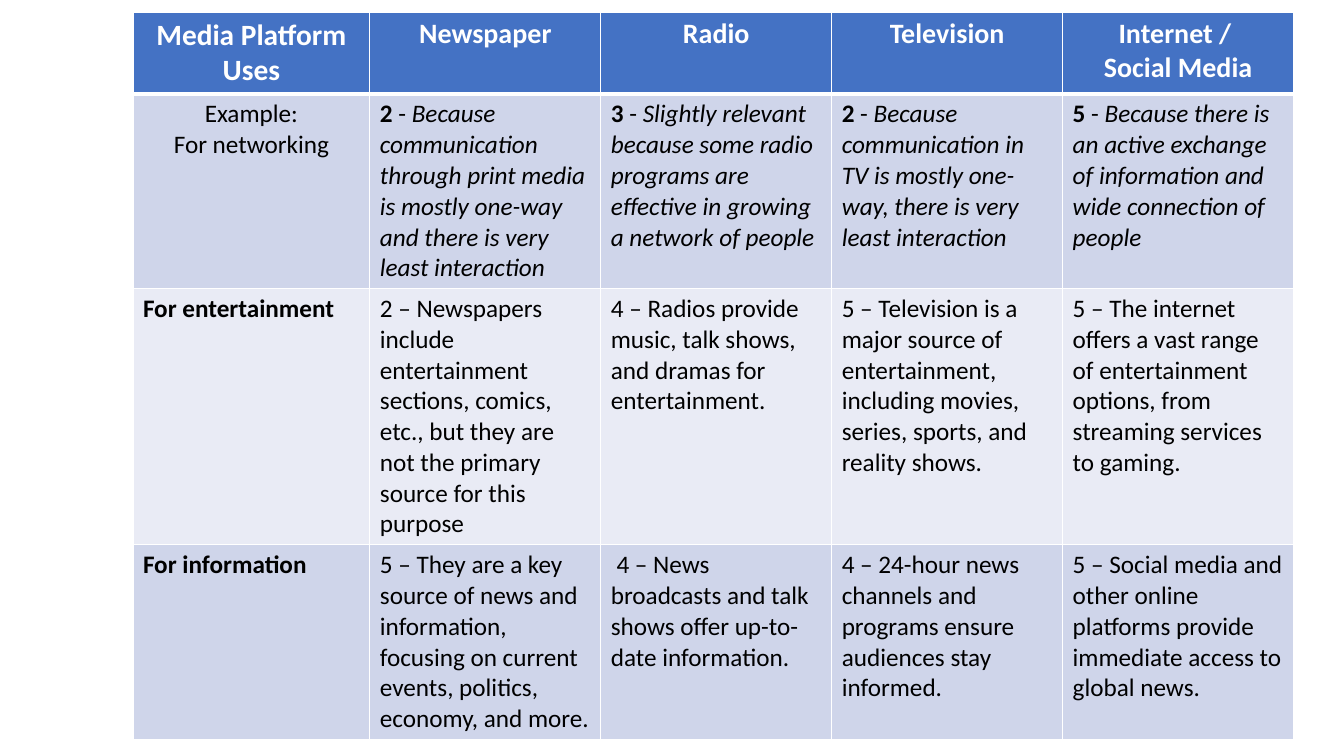
from dataclasses import dataclass

from lxml.etree import SubElement
from pptx import Presentation
from pptx.dml.color import RGBColor
from pptx.enum.text import PP_ALIGN
from pptx.oxml.ns import qn
from pptx.util import Cm, Pt


@dataclass(frozen=True)
class Theme:
    font: str = "Calibri"
    corner_size: int = 21
    header_size: int = 20
    body_size: int = 18
    header_fill: str = "4472C4"
    band_fills: tuple = ("CFD5EA", "E9EBF5")
    header_text: str = "FFFFFF"
    body_text: str = "000000"
    border: str = "FFFFFF"


PLAIN = {"bold": False, "italic": False}
BOLD = {"bold": True, "italic": False}
ITALIC = {"bold": False, "italic": True}


def rating(score, *lines):
    """Return paragraphs that open with a bold score and go on in italics."""
    first, *others = lines
    opening = [(score, BOLD), (" - ", PLAIN), (first, ITALIC)]
    return [opening] + [[(line, ITALIC)] for line in others]


def lines_of(look, *lines):
    """Return paragraphs of one look."""
    return [[(line, look)] for line in lines]


HEADINGS = [
    ["Media Platform Uses"],
    ["Newspaper"],
    ["Radio"],
    ["Television"],
    ["Internet / ", "Social Media"],
]
NETWORKING = [
    lines_of(PLAIN, "Example:", "For networking"),
    rating("2", "Because communication through print media is mostly one-way "
                "and there is very least interaction"),
    rating("3", "Slightly relevant because some radio programs are effective "
                "in growing a network of people"),
    rating("2", "Because", "communication in TV is mostly one-way, "
                           "there is very least interaction"),
    rating("5", "Because there is an active exchange of information "
                "and wide connection of people"),
]
USES = {
    "For entertainment": [
        "2 – Newspapers include entertainment sections, comics, etc., "
        "but they are not the primary source for this purpose",
        "4 – Radios provide music, talk shows, and dramas for entertainment.",
        "5 – Television is a major source of entertainment, including movies, "
        "series, sports, and reality shows.",
        "5 – The internet offers a vast range of entertainment options, "
        "from streaming services to gaming.",
    ],
    "For information": [
        "5 – They are a key source of news and information, focusing on "
        "current events, politics, economy, and more.",
        " 4 – News broadcasts and talk shows offer up-to-date information.",
        "4 – 24-hour news channels and programs ensure audiences stay informed.",
        "5 – Social media and other online platforms provide immediate access "
        "to global news.",
    ],
}
COLUMN_WIDTHS = [5.97] + [5.82] * 4
ROW_HEIGHTS = [0.84, 2.36, 2.64, 2.01]


class SlideBuilder:
    """Draws themed elements on the current slide."""

    def __init__(self, page, theme):
        self.page = page
        self.theme = theme

    def table(self, left, top, height, widths, heights):
        frame = self.page.shapes.add_table(
            len(heights), len(widths), Cm(left), Cm(top), Cm(sum(widths)), Cm(height))
        for column, width in zip(frame.table.columns, widths):
            column.width = Cm(width)
        for row, row_height in zip(frame.table.rows, heights):
            row.height = Cm(row_height)
        frame.height = Cm(height)
        return frame.table

    def borders(self, cell, widths):
        properties = cell._tc.get_or_add_tcPr()
        for side, width in widths.items():
            line = SubElement(properties, qn(f"a:ln{side}"), w=str(Pt(width)))
            fill = SubElement(line, qn("a:solidFill"))
            SubElement(fill, qn("a:srgbClr"), val=self.theme.border)

    def cell(self, cell, paragraphs, fill, color, size, align):
        cell.fill.solid()
        cell.fill.fore_color.rgb = RGBColor.from_string(fill)
        frame = cell.text_frame
        for index, spans in enumerate(paragraphs):
            para = frame.add_paragraph() if index else frame.paragraphs[0]
            para.alignment = align
            for text, look in spans:
                span = para.add_run()
                span.text = text
                formats = {"name": self.theme.font, "size": Pt(size), **look}
                for name, value in formats.items():
                    setattr(span.font, name, value)
                span.font.color.rgb = RGBColor.from_string(color)

    def header_row(self, table, headings):
        theme = self.theme
        for column, lines in enumerate(headings):
            cell = table.cell(0, column)
            self.borders(cell, {"L": 1, "R": 1, "T": 1, "B": 3})
            size = theme.header_size if column else theme.corner_size
            self.cell(cell, lines_of(BOLD, *lines), theme.header_fill,
                      theme.header_text, size, PP_ALIGN.CENTER)

    def body_row(self, table, row, contents, label_align):
        theme = self.theme
        fill = theme.band_fills[(row - 1) % len(theme.band_fills)]
        for column, paragraphs in enumerate(contents):
            align = PP_ALIGN.LEFT if column else label_align
            self.cell(table.cell(row, column), paragraphs, fill,
                      theme.body_text, theme.body_size, align)


def main():
    deck = Presentation()
    deck.slide_width, deck.slide_height = Cm(33.87), Cm(19.05)
    page = deck.slides.add_slide(deck.slide_layouts[6])
    builder = SlideBuilder(page, Theme())
    table = builder.table(3.35, 0.3, 18.03, COLUMN_WIDTHS, ROW_HEIGHTS)
    builder.header_row(table, HEADINGS)
    builder.body_row(table, 1, NETWORKING, PP_ALIGN.CENTER)
    for row, (use, ratings) in enumerate(USES.items(), start=2):
        contents = [lines_of(BOLD, use)] + [lines_of(PLAIN, text) for text in ratings]
        builder.body_row(table, row, contents, PP_ALIGN.LEFT)
    deck.save("out.pptx")


if __name__ == "__main__":
    main()
